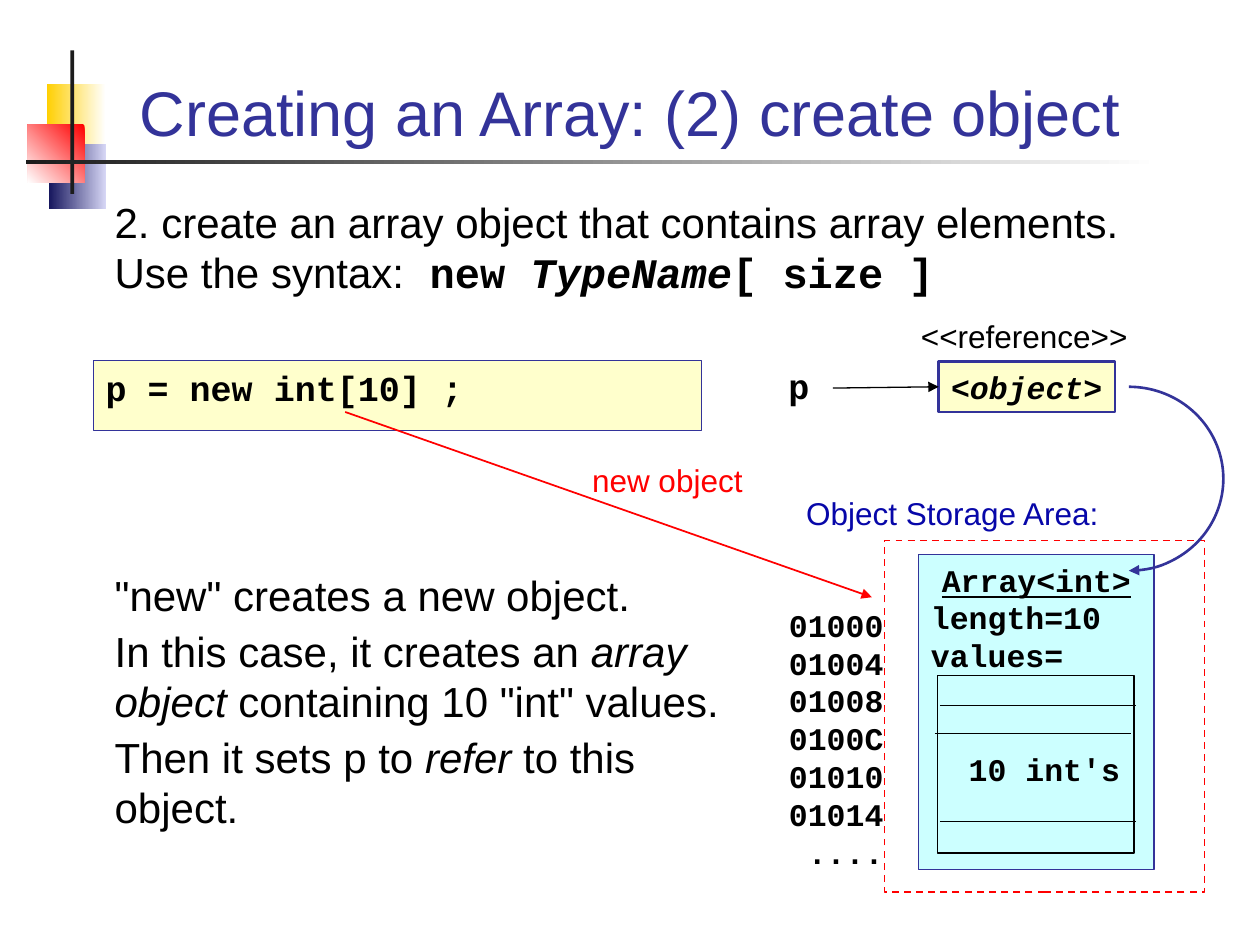
from dataclasses import dataclass, field
from typing import NamedTuple

from lxml.etree import SubElement
from pptx import Presentation
from pptx.dml.color import RGBColor
from pptx.enum.dml import MSO_LINE
from pptx.enum.shapes import MSO_CONNECTOR, MSO_SHAPE
from pptx.enum.text import MSO_ANCHOR, MSO_AUTO_SIZE, PP_ALIGN
from pptx.oxml.ns import qn
from pptx.util import Inches, Pt

BLACK = RGBColor(0x00, 0x00, 0x00)
WHITE = RGBColor(0xFF, 0xFF, 0xFF)
CHARCOAL = RGBColor(0x1C, 0x1C, 0x1C)
INDIGO = RGBColor(0x33, 0x33, 0x99)
NAVY = RGBColor(0x17, 0x17, 0x5E)
LAVENDER = RGBColor(0xD6, 0xD6, 0xF5)
BLUE = RGBColor(0x07, 0x07, 0xA9)
RED = RGBColor(0xFF, 0x00, 0x00)
GOLD = RGBColor(0xFF, 0xCF, 0x01)
CREAM = RGBColor(0xFF, 0xFF, 0xCC)
AQUA = RGBColor(0xCC, 0xFF, 0xFF)

SANS = {"name": "Arial", "bold": False}
CODE = {"name": "Courier New", "bold": True}
ITALIC = {"italic": True}
LINE_HEIGHT = 1.2  # line pitch as a multiple of the text size


class Box(NamedTuple):
    left: float
    top: float
    width: float
    height: float

    def lengths(self) -> list:
        return [Inches(value) for value in self]


class Run(NamedTuple):
    text: str
    style: dict = {}


@dataclass
class Para:
    runs: list
    align: PP_ALIGN = PP_ALIGN.LEFT
    before: float = 0
    indent: float = 0
    tab: float = 0


@dataclass
class Label:
    box: Box
    paras: list
    size: float
    font: dict = field(default_factory=lambda: SANS)
    color: RGBColor = BLACK
    wrap: bool = True


def style_text(shape, paras: list, size: float, font: dict, color: RGBColor,
               wrap: bool = True, anchor=MSO_ANCHOR.TOP) -> None:
    frame = shape.text_frame
    frame_format = {"word_wrap": wrap, "auto_size": MSO_AUTO_SIZE.NONE,
                    "vertical_anchor": anchor}
    for name, value in frame_format.items():
        setattr(frame, name, value)
    for number, para in enumerate(paras):
        paragraph = frame.add_paragraph() if number else frame.paragraphs[0]
        properties = paragraph._p.get_or_add_pPr()
        properties.set("marL", str(Inches(para.indent)))
        properties.set("indent", "0")
        para_format = {"alignment": para.align, "space_before": Pt(para.before),
                       "line_spacing": Pt(size * LINE_HEIGHT)}
        for name, value in para_format.items():
            setattr(paragraph, name, value)
        SubElement(properties, qn("a:buNone"))
        if para.tab:
            tabs = SubElement(properties, qn("a:tabLst"))
            SubElement(tabs, qn("a:tab"), pos=str(Inches(para.tab)), algn="l")
        for text, style in para.runs:
            run = paragraph.add_run()
            run.text = text
            for name, value in {**font, "size": Pt(size), **style}.items():
                setattr(run.font, name, value)
            run.font.color.rgb = color


def add_label(slide, label: Label) -> None:
    textbox = slide.shapes.add_textbox(*label.box.lengths())
    style_text(textbox, label.paras, label.size, label.font, label.color, label.wrap)


def fill_placeholder(holder, box: Box, paras: list, size: float,
                     color: RGBColor, anchor=MSO_ANCHOR.TOP) -> None:
    holder.left, holder.top, holder.width, holder.height = box.lengths()
    style_text(holder, paras, size, SANS, color, anchor=anchor)


def add_panel(slide, box: Box, fill=None, line=None, weight: float = 0.75,
              kind=MSO_SHAPE.RECTANGLE):
    panel = slide.shapes.add_shape(kind, *box.lengths())
    panel.shadow.inherit = False
    if fill is None:
        panel.fill.background()
    else:
        panel.fill.solid()
        panel.fill.fore_color.rgb = fill
    if line is None:
        panel.line.fill.background()
    else:
        panel.line.color.rgb = line
        panel.line.width = Pt(weight)
    return panel


def add_gradient(slide, box: Box, start: RGBColor, end: RGBColor, angle: float) -> None:
    fill = add_panel(slide, box).fill
    fill.gradient()
    fill.gradient_angle = angle
    for stop, color in zip(fill.gradient_stops, (start, end)):
        stop.color.rgb = color


def add_arrowhead(line) -> None:
    SubElement(line._get_or_add_ln(), qn("a:tailEnd"), type="triangle")


def add_line(slide, start: tuple, end: tuple, color: RGBColor,
             weight: float = 0.75, arrow: bool = False):
    points = [Inches(value) for value in (*start, *end)]
    connector = slide.shapes.add_connector(MSO_CONNECTOR.STRAIGHT, *points)
    connector.line.color.rgb = color
    connector.line.width = Pt(weight)
    SubElement(connector._element.spPr, qn("a:effectLst"))
    if arrow:
        add_arrowhead(connector.line)
    return connector


def main() -> None:
    presentation = Presentation()
    presentation.slide_width, presentation.slide_height = Inches(10), Inches(7.5)
    slide = presentation.slides.add_slide(presentation.slide_layouts[3])
    for holder in list(slide.placeholders):
        if holder.placeholder_format.idx > 2:
            holder._element.getparent().remove(holder._element)

    # Corner decoration and title rule
    add_gradient(slide, Box(0.37, 0.67, 0.47, 0.52), WHITE, GOLD, 180)
    add_gradient(slide, Box(0.39, 1.14, 0.45, 0.52), LAVENDER, NAVY, 180)
    add_gradient(slide, Box(0.22, 0.99, 0.45, 0.46), RED, WHITE, 225)
    add_panel(slide, Box(0.56, 0.4, 0.03, 1.14), CHARCOAL)
    add_gradient(slide, Box(0.21, 1.27, 8.99, 0.03), WHITE, CHARCOAL, 180)

    # Title, syntax and explanation
    title, syntax, explanation = slide.placeholders
    fill_placeholder(title, Box(0.67, 0.28, 8.66, 0.95), [
        Para([Run("Creating an Array: (2) create object")], PP_ALIGN.CENTER),
    ], 36, INDIGO, MSO_ANCHOR.BOTTOM)
    fill_placeholder(syntax, Box(0.81, 1.51, 8.39, 0.9), [
        Para([Run("2. create an array object that contains array elements. Use the syntax:\t"),
              Run("new ", CODE), Run("TypeName", CODE | ITALIC), Run("[ size ]", CODE)],
             tab=2.58),
    ], 24, BLACK)
    fill_placeholder(explanation, Box(0.81, 4.47, 5.25, 2.19), [
        Para([Run('"new" creates a new object.')]),
        Para([Run("In this case, it creates an "), Run("array object", ITALIC),
              Run(' containing 10 "int" values.')], before=3),
        Para([Run("Then it sets p to "), Run("refer", ITALIC),
              Run(" to this object.")], before=3),
    ], 24, BLACK)

    # Code statement
    statement = add_panel(slide, Box(0.74, 2.86, 4.83, 0.56), CREAM, INDIGO)
    style_text(statement, [Para([Run("p = new int[10] ;")])], 20, CODE, BLACK)

    # Array object in the storage area
    array = add_panel(slide, Box(7.29, 4.4, 1.87, 2.5), AQUA, INDIGO)
    style_text(array, [
        Para([Run("Array<int>", {"underline": True})], PP_ALIGN.CENTER),
        Para([Run("length=10")]),
        Para([Run("values=")]),
        Para([Run("10 int's")], before=2 * 18 * LINE_HEIGHT, indent=0.3),
    ], 18, CODE, BLACK)
    storage = add_panel(slide, Box(7.02, 4.29, 2.54, 2.79), line=RED, weight=1)
    storage.line.dash_style = MSO_LINE.DASH
    values = Box(7.44, 5.36, 1.56, 1.41)
    add_panel(slide, values, line=BLACK)
    for left, top in ((7.46, 5.6), (7.42, 5.82), (7.46, 6.52)):
        add_line(slide, (left, top), (left + values.width, top), BLACK)

    # Reference and its arrows
    reference = add_panel(slide, Box(7.45, 2.87, 1.4, 0.4), CREAM, INDIGO, 1.5)
    style_text(reference, [Para([Run("<"), Run("object", ITALIC), Run(">")])],
               18, CODE, BLACK, wrap=False)
    pointer = add_line(slide, (6.61, 3.08), (7.45, 3.07), BLACK, arrow=True)
    pointer.end_connect(reference, 1)
    add_line(slide, (2.74, 3.27), (6.92, 4.74), RED, 1, arrow=True)
    arc = add_panel(slide, Box(8.21, 3.07, 1.5, 1.46), line=INDIGO, weight=1.5,
                    kind=MSO_SHAPE.ARC)
    arc.adjustments[1] = 54  # ends at the bottom: 90 degrees
    add_arrowhead(arc.line)

    # Labels and memory addresses
    addresses = ["01000", "01004", "01008", "0100C", "01010", "01014", "...."]
    labels = [
        Label(Box(6.16, 2.84, 0.36, 0.44), [Para([Run("p")])], 20, CODE, wrap=False),
        Label(Box(5.97, 4.76, 1.14, 2.2),
              [Para([Run(address)], PP_ALIGN.RIGHT) for address in addresses], 18, CODE),
        Label(Box(6.3, 3.87, 2.77, 0.4), [Para([Run("Object Storage Area:")])],
              18, color=BLUE),
        Label(Box(7, 2.47, 2.26, 0.4), [Para([Run("<<reference>>")], PP_ALIGN.CENTER)], 18),
        Label(Box(4.6, 3.61, 1.39, 0.4), [Para([Run("new object")])],
              18, color=RED, wrap=False),
    ]
    for label in labels:
        add_label(slide, label)

    presentation.save("out.pptx")


if __name__ == "__main__":
    main()
